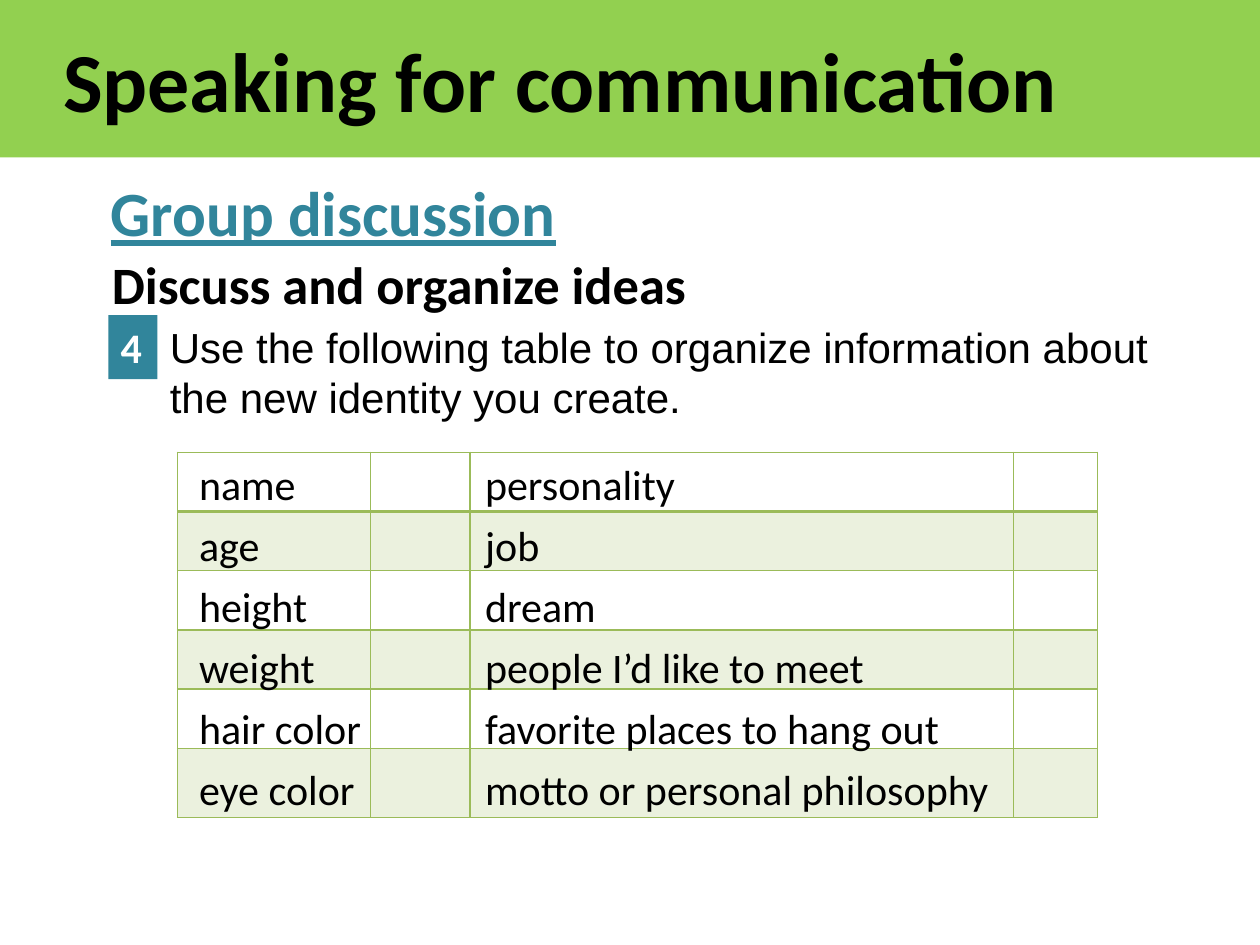
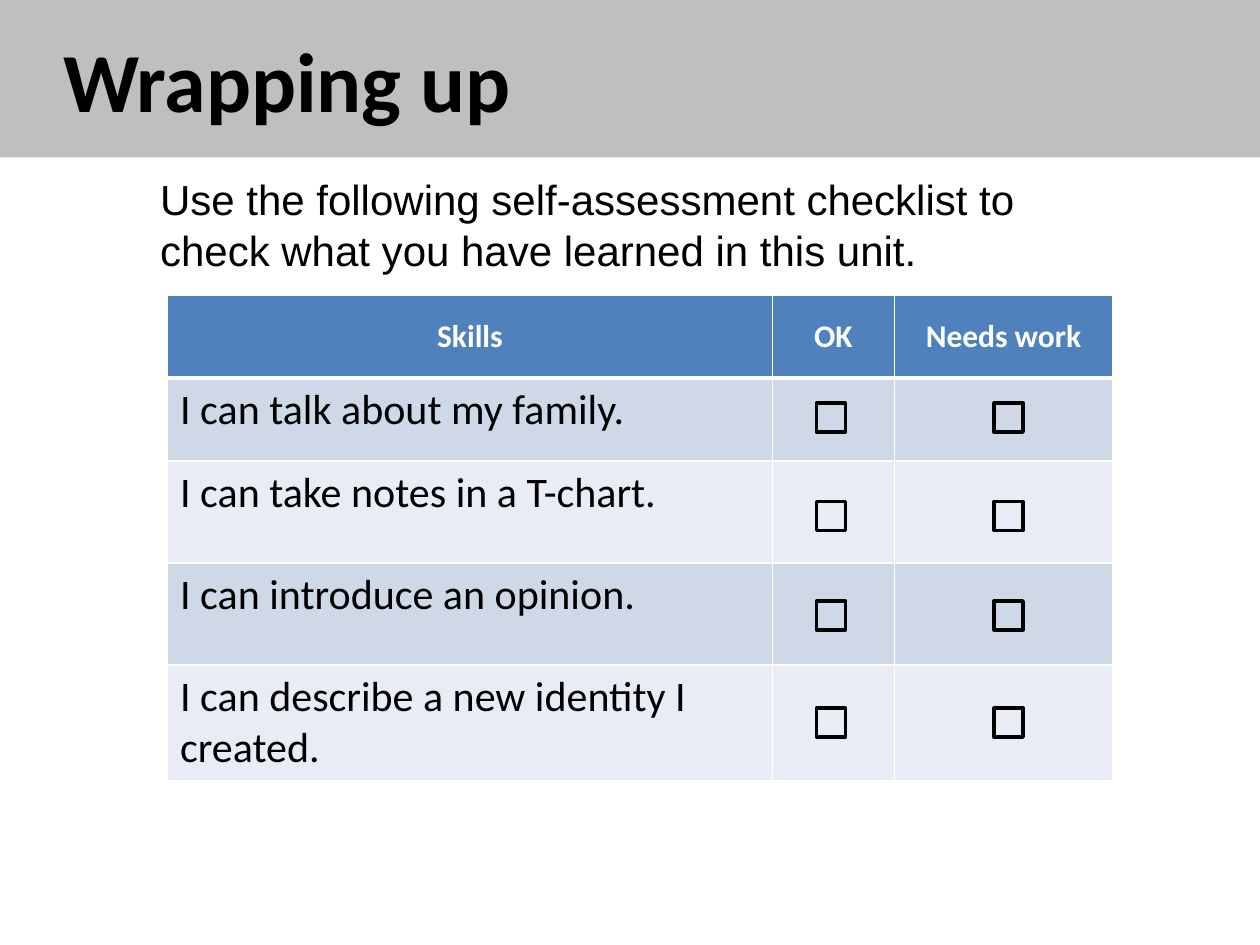
from dataclasses import dataclass
from itertools import product

from lxml.etree import SubElement
from pptx import Presentation
from pptx.dml.color import RGBColor
from pptx.enum.shapes import MSO_SHAPE
from pptx.enum.text import MSO_ANCHOR, MSO_AUTO_SIZE, PP_ALIGN
from pptx.oxml.ns import qn
from pptx.util import Inches, Pt


@dataclass(frozen=True)
class Theme:
    # Colours
    black: str = "000000"
    white: str = "FFFFFF"
    speaking_band: str = "92D050"
    wrapping_band: str = "BFBFBF"
    teal: str = "31859B"
    green: str = "9BBB59"
    pale_green: str = "EBF1DE"
    blue: str = "4F81BD"
    row_blue: str = "CFD8E7"
    row_pale: str = "E9ECF4"
    # Fonts and type sizes
    heading_font: str = "Calibri"
    instruction_font: str = "Arial"
    title: int = 48
    section: int = 36
    subsection: int = 30
    body: int = 24
    header: int = 18


class Deck:
    """Holds the theme and the slide being built."""

    def __init__(self, theme):
        self.theme = theme
        self.presentation = Presentation()
        self.presentation.slide_width = Inches(10)
        self.presentation.slide_height = Inches(7.5)
        self.slide = None

    def new_slide(self, layout, title, band_color):
        """Start a slide whose title fills the coloured top band."""
        self.slide = self.presentation.slides.add_slide(
            self.presentation.slide_layouts[layout])
        band = self.slide.shapes.title
        self.place(band, (0, 0, 10, 1.25))
        band.fill.solid()
        band.fill.fore_color.rgb = RGBColor.from_string(band_color)
        self.set_text(band.text_frame, [title], self.theme.title, bold=True)
        band.text_frame.margin_left = Inches(0.5)
        band.text_frame.vertical_anchor = MSO_ANCHOR.MIDDLE

    def place(self, shape, box):
        shape.left, shape.top, shape.width, shape.height = map(Inches, box)

    def set_text(self, frame, lines, size, color=None, font=None, bold=False,
                 underline=False, align=PP_ALIGN.LEFT, space_before=0):
        frame.text = "\n".join(lines)
        for paragraph in frame.paragraphs:
            paragraph.alignment = align
            paragraph.space_before = Pt(space_before)
            style = paragraph.font
            style.name = font or self.theme.heading_font
            style.size = Pt(size)
            style.bold = bold
            style.underline = underline
            style.color.rgb = RGBColor.from_string(color or self.theme.black)

    def text(self, box, line, size, wrap=True, **style):
        frame = self.slide.shapes.add_textbox(*map(Inches, box)).text_frame
        frame.word_wrap = wrap
        self.set_text(frame, [line], size, **style)

    def body(self, index, box, lines, **style):
        """Fill a body placeholder with unbulleted lines."""
        holder = self.slide.placeholders[index]
        self.place(holder, box)
        frame = holder.text_frame
        self.set_text(frame, lines, self.theme.body, **style)
        frame.auto_size = MSO_AUTO_SIZE.NONE
        for paragraph in frame.paragraphs:
            properties = paragraph._p.get_or_add_pPr()
            properties.set("marL", "0")
            properties.set("indent", "0")
            bullet = properties.makeelement(qn("a:buNone"), {})
            properties.insert_element_before(
                bullet, "a:tabLst", "a:defRPr", "a:extLst")

    def rectangle(self, box, fill=None, line=None):
        shape = self.slide.shapes.add_shape(
            MSO_SHAPE.RECTANGLE, *map(Inches, box))
        shape.shadow.inherit = False
        if fill:
            shape.fill.solid()
            shape.fill.fore_color.rgb = RGBColor.from_string(fill)
        else:
            shape.fill.background()
        if line:
            shape.line.color.rgb = RGBColor.from_string(line)
            shape.line.width = Pt(2)
        else:
            shape.line.fill.background()
        return shape

    def table(self, left, top, widths, heights):
        """Add an unstyled grid behind the other elements."""
        frame = self.slide.shapes.add_table(
            len(heights), len(widths), Inches(left), Inches(top),
            Inches(sum(widths)), Inches(sum(heights)))
        self.slide.shapes._spTree.insert(2, frame._element)
        grid = frame.table
        grid.first_row = grid.horz_banding = False
        for column, width in zip(grid.columns, widths):
            column.width = Inches(width)
        for row, height in zip(grid.rows, heights):
            row.height = Inches(height)
        return grid

    def cell(self, cell, fill, border, left=1, right=1, top=1, bottom=1):
        """Draw a cell's borders (widths in points), then its fill."""
        properties = cell._tc.get_or_add_tcPr()
        for side, width in zip("LRTB", (left, right, top, bottom)):
            edge = SubElement(properties, qn(f"a:ln{side}"), w=str(Pt(width)))
            solid = SubElement(edge, qn("a:solidFill"))
            SubElement(solid, qn("a:srgbClr"), val=border)
        if fill:
            cell.fill.solid()
            cell.fill.fore_color.rgb = RGBColor.from_string(fill)
        else:
            cell.fill.background()


def build_speaking(deck):
    theme = deck.theme
    deck.new_slide(3, "Speaking for communication", theme.speaking_band)

    # Headings and numbered instruction
    deck.text((0.78, 1.33, 3.78, 0.71), "Group discussion", theme.section,
              wrap=False, color=theme.teal, bold=True, underline=True)
    deck.text((0.79, 1.95, 5.14, 0.61), "Discuss and organize ideas",
              theme.subsection, bold=True)
    number = deck.rectangle((0.86, 2.5, 0.39, 0.51), fill=theme.teal)
    deck.set_text(number.text_frame, ["4"], theme.body, color=theme.white,
                  bold=True)
    deck.text((1.25, 2.5, 8.2, 0.91),
              "Use the following table to organize information about "
              "the new identity you create.",
              theme.body, font=theme.instruction_font)

    # Identity grid: hairlines part each label from its answer
    hairline = 0.25
    grid = deck.table(1.41, 3.59, (1.53, 0.79, 4.31, 0.67),
                      [0.47] * 5 + [0.55])
    for row, column in product(range(6), range(4)):
        answer = column % 2
        deck.cell(grid.cell(row, column),
                  theme.pale_green if row % 2 else None, theme.green,
                  left=hairline if answer else 1,
                  right=1 if answer else hairline,
                  top=2 if row == 1 else 1, bottom=2 if row == 0 else 1)

    # Labels over the grid
    deck.body(1, (1.48, 3.59, 2.34, 2.94),
              ["name", "age", "height", "weight", "hair color", "eye color"],
              space_before=6)
    deck.body(2, (3.75, 3.59, 4.3, 2.94),
              ["personality", "job", "dream", "people I’d like to meet",
               "favorite places to hang out", "motto or personal philosophy"],
              space_before=6)


def build_wrapping_up(deck):
    theme = deck.theme
    deck.new_slide(1, "Wrapping up", theme.wrapping_band)
    deck.body(1, (1.17, 1.33, 7.58, 0.91),
              ["Use the following self-assessment checklist to check "
               "what you have learned in this unit."],
              font=theme.instruction_font)

    # Checklist
    headers = ("Skills", "OK", "Needs work")
    skills = ("I can talk about my family.",
              "I can take notes in a T-chart.",
              "I can introduce an opinion.",
              "I can describe a new identity I created.")
    checklist = deck.table(1.33, 2.34, (4.8, 0.97, 1.73),
                           (0.66, 0.66, 0.81, 0.81, 0.9))
    row_fills = [theme.blue] + [theme.row_blue, theme.row_pale] * 2
    for (row, fill), column in product(enumerate(row_fills), range(3)):
        deck.cell(checklist.cell(row, column), fill, theme.white,
                  top=3 if row == 1 else 1, bottom=3 if row == 0 else 1)
    for column, header in enumerate(headers):
        cell = checklist.cell(0, column)
        cell.vertical_anchor = MSO_ANCHOR.MIDDLE
        deck.set_text(cell.text_frame, [header], theme.header,
                      color=theme.white, bold=True, align=PP_ALIGN.CENTER)
    for row, skill in enumerate(skills, start=1):
        deck.set_text(checklist.cell(row, 0).text_frame, [skill], theme.body)

    # Tick boxes
    for top, left in product((3.2, 3.98, 4.77, 5.62), (6.48, 7.89)):
        deck.rectangle((left, top, 0.23, 0.23), line=theme.black)


def main():
    deck = Deck(Theme())
    build_speaking(deck)
    build_wrapping_up(deck)
    deck.presentation.save("out.pptx")


if __name__ == "__main__":
    main()
